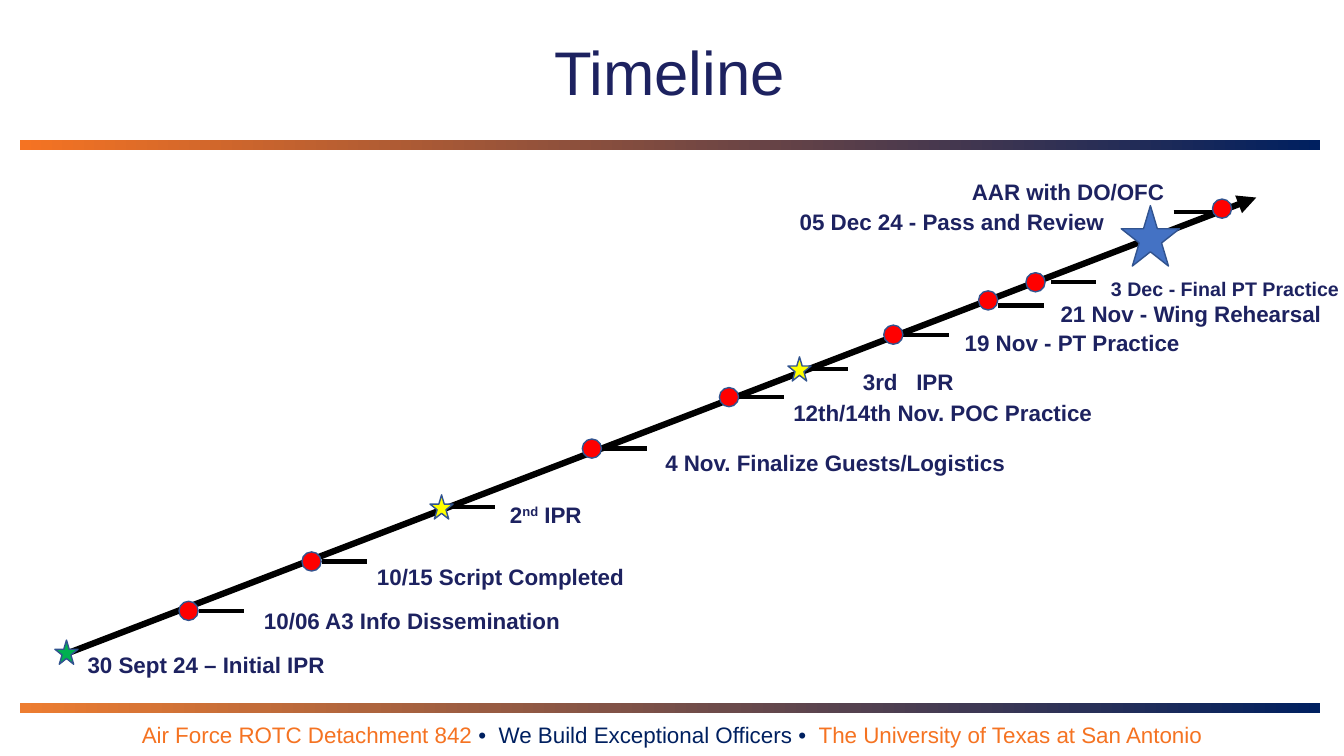
from collections import namedtuple

from lxml import etree
from pptx import Presentation
from pptx.dml.color import RGBColor
from pptx.enum.shapes import MSO_CONNECTOR, MSO_SHAPE
from pptx.enum.text import MSO_ANCHOR, PP_ALIGN
from pptx.oxml.ns import qn
from pptx.util import Inches, Pt

COLORS = {
    "navy": "1D2260", "deep_blue": "002060", "orange": "F57322", "soft_orange": "ED7D31",
    "black": "000000", "red": "FF0000", "yellow": "FFFF00", "green": "00B050",
    "blue": "4472C4", "outline": "31538F",
}
PAGE_WIDTH, PAGE_HEIGHT = 13.33, 7.5
TICK_LENGTH = 0.45
LABEL_WIDTH, LABEL_HEIGHT = 3.5, 0.41

Box = namedtuple("Box", "left top width height")
Span = namedtuple("Span", "text color raised spacing", defaults=("navy", False, 0))
# Marker: shape, fill, width, height
Marker = namedtuple("Marker", "shape fill width height")
DOT = Marker(MSO_SHAPE.OVAL, "red", 0.19, 0.19)
START = Marker(MSO_SHAPE.STAR_5_POINT, "green", 0.23, 0.24)
REVIEW = Marker(MSO_SHAPE.STAR_5_POINT, "yellow", 0.23, 0.24)
PARADE = Marker(MSO_SHAPE.STAR_5_POINT, "blue", 0.58, 0.6)

# Places are relative to the timeline box: marker centre, tick start, label corner.
Event = namedtuple("Event", "marker center tick label spans size align",
                   defaults=(16, PP_ALIGN.LEFT))
EVENTS = [
    Event(START, (0.11, 4.97), None, (0.22, 4.87), [Span("30 Sept 24 – Initial IPR")]),
    Event(DOT, (1.32, 4.56), (1.42, 4.56), (1.97, 4.43), [Span("10/06 A3 Info Dissemination")]),
    Event(DOT, (2.54, 4.07), (2.64, 4.07), (3.09, 4.0), [Span("10/15 Script Completed")]),
    Event(REVIEW, (3.83, 3.53), (3.91, 3.53), (4.41, 3.38),
          [Span("2"), Span("nd", raised=True), Span(" IPR")]),
    Event(DOT, (5.32, 2.95), (5.42, 2.95), (5.95, 2.87),
          [Span("4 Nov. Finalize Guests/Logistics")]),
    Event(DOT, (6.68, 2.44), (6.78, 2.44), (7.22, 2.37), [Span("12th/14th Nov. POC Practice")]),
    Event(REVIEW, (7.38, 2.16), (7.41, 2.16), (7.91, 2.06),
          [Span("3rd"), Span(" ", spacing=8.9), Span("IPR")]),
    Event(DOT, (8.31, 1.82), (8.41, 1.82), (8.92, 1.68), [Span("19 Nov - PT Practice")]),
    Event(DOT, (9.25, 1.48), (9.35, 1.53), (9.87, 1.39), [Span("21 Nov - Wing Rehearsal")]),
    Event(DOT, (9.72, 1.3), (9.87, 1.3), (10.37, 1.16), [Span("3 Dec - Final PT Practice")], 14),
    Event(PARADE, (10.86, 0.84), None, (6.9, 0.48),
          [Span("05 Dec 24 - Pass and Review")], 16, PP_ALIGN.RIGHT),
    Event(DOT, (11.57, 0.57), (11.09, 0.6), (8.99, 0.18), [Span("AAR with DO/OFC")]),
]


def rgb(name):
    return RGBColor.from_string(COLORS[name])


def add_text(page, box, spans, size, align, bold=False, line_spacing=1.0,
             anchor=MSO_ANCHOR.TOP):
    frame = page.shapes.add_textbox(*map(Inches, box)).text_frame
    frame.word_wrap = True
    frame.vertical_anchor = anchor
    frame.margin_right = 0 if align != PP_ALIGN.CENTER else Inches(0.1)
    para = frame.paragraphs[0]
    para.alignment = align
    para.line_spacing = line_spacing
    for span in spans:
        run = para.add_run()
        run.text = span.text
        run.font.name = "Arial"
        run.font.size = Pt(size)
        run.font.bold = bold
        run.font.color.rgb = rgb(span.color)
        properties = run._r.get_or_add_rPr()
        if span.raised:
            properties.set("baseline", "30000")
        if span.spacing:
            properties.set("spc", str(round(span.spacing * 100)))


def add_line(page, start, end, weight, arrow=False):
    line = page.shapes.add_connector(MSO_CONNECTOR.STRAIGHT, *map(Inches, (*start, *end)))
    line.line.color.rgb = rgb("black")
    line.line.width = Pt(weight)
    if arrow:
        etree.SubElement(line.line._get_or_add_ln(), qn("a:tailEnd"), type="triangle")
    etree.SubElement(line._element.spPr, qn("a:effectLst"))


def add_bar(page, box, start_color):
    """Draw a rule that fades from start_color to deep blue."""
    bar = page.shapes.add_shape(MSO_SHAPE.RECTANGLE, *map(Inches, box))
    bar.shadow.inherit = False
    bar.line.fill.background()
    bar.fill.gradient()
    bar.fill.gradient_angle = 0
    for stop, color, position in zip(bar.fill.gradient_stops, (start_color, "deep_blue"), (0, 1)):
        stop.color.rgb = rgb(color)
        stop.position = position


def add_marker(page, marker, x, y):
    shape = page.shapes.add_shape(marker.shape, *map(Inches, (
        x - marker.width / 2, y - marker.height / 2, marker.width, marker.height)))
    shape.shadow.inherit = False
    shape.fill.solid()
    shape.fill.fore_color.rgb = rgb(marker.fill)
    shape.line.color.rgb = rgb("outline")
    shape.line.width = Pt(1)


def add_header(page, box):
    title = Box(box.left + 2.32, box.top, 8.24, 0.84)
    add_text(page, title, [Span("Timeline")], 44, PP_ALIGN.CENTER)
    add_bar(page, Box(box.left, box.top + 1.1, box.width, 0.1), "orange")


def add_timeline(page, box):
    def place(point):
        return box.left + point[0], box.top + point[1]

    add_line(page, place((0.07, box.height)), place((box.width, 0.46)), 4.5, arrow=True)
    for event in EVENTS:
        if event.tick:
            x, y = place(event.tick)
            add_line(page, (x, y), (x + TICK_LENGTH, y), 3)
        add_marker(page, event.marker, *place(event.center))
        left, top = place(event.label)
        label = Box(left, top, min(LABEL_WIDTH, PAGE_WIDTH - left), LABEL_HEIGHT)
        add_text(page, label, event.spans, event.size, event.align, True, 1.15)


def add_footer(page, box):
    add_bar(page, Box(box.left + 0.2, box.top, box.width - 0.44, 0.1), "soft_orange")
    bullet = Span("• ", "deep_blue", spacing=2.2)
    motto = [
        Span("Air Force ROTC Detachment 842 ", "orange"), bullet,
        Span("We Build Exceptional Officers ", "deep_blue"), bullet,
        Span("The University of Texas at San Antonio", "orange"),
    ]
    add_text(page, Box(box.left, box.top + 0.13, box.width, 0.37), motto, 16,
             PP_ALIGN.CENTER, anchor=MSO_ANCHOR.BOTTOM)


def main():
    deck = Presentation()
    deck.slide_width, deck.slide_height = Inches(PAGE_WIDTH), Inches(PAGE_HEIGHT)
    page = deck.slides.add_slide(deck.slide_layouts[6])
    add_header(page, Box(0.2, 0.29, 12.89, 1.2))
    add_timeline(page, Box(0.55, 1.5, 11.91, 5.0))
    add_footer(page, Box(0, 6.97, PAGE_WIDTH, 0.5))
    deck.save("out.pptx")


if __name__ == "__main__":
    main()
